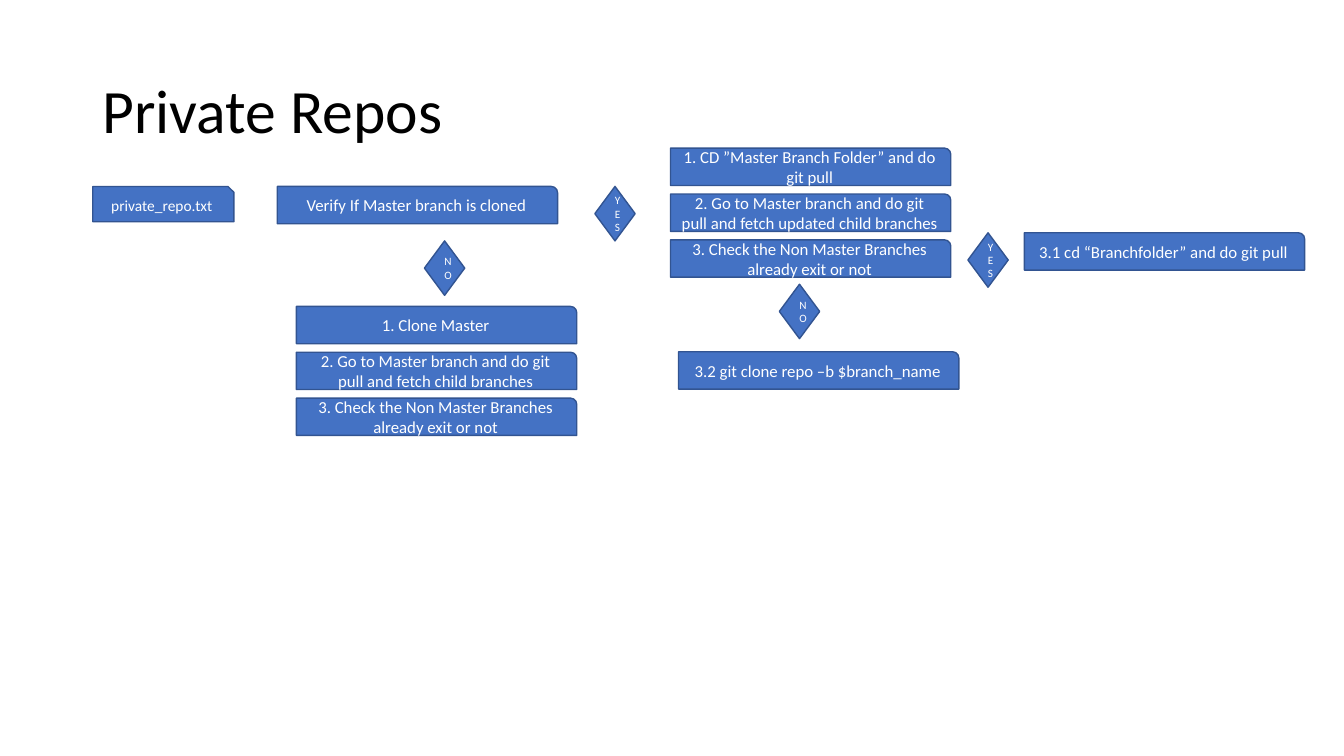
"""Build the Private Repos branch-update flow slide."""
from dataclasses import dataclass

import pptx
import pptx.dml.color
import pptx.enum.shapes
import pptx.enum.text
import pptx.slide
import pptx.text.text
import pptx.util

Inches = pptx.util.Inches
Pt = pptx.util.Pt
RGB = pptx.dml.color.RGBColor
SHAPE = pptx.enum.shapes.MSO_SHAPE
ALIGN = pptx.enum.text.PP_ALIGN
ANCHOR = pptx.enum.text.MSO_ANCHOR


@dataclass(frozen=True)
class Theme:
    font: str = "Calibri"
    title: RGB = RGB(0x00, 0x00, 0x00)
    text: RGB = RGB(0xFF, 0xFF, 0xFF)
    fill: RGB = RGB(0x44, 0x72, 0xC4)
    line: RGB = RGB(0x32, 0x54, 0x91)
    title_size: int = 44
    step_size: int = 12
    file_size: int = 11
    answer_size: int = 8


@dataclass(frozen=True)
class Kind:
    shape: SHAPE
    width: float
    height: float
    size: int


@dataclass(frozen=True)
class Node:
    kind: Kind
    left: float
    top: float
    text: str


THEME = Theme()
FILE = Kind(SHAPE.SNIP_1_RECTANGLE, 1.4, 0.35, THEME.file_size)
STEP = Kind(SHAPE.ROUND_1_RECTANGLE, 2.78, 0.37, THEME.step_size)
ANSWER = Kind(SHAPE.DIAMOND, 0.4, 0.54, THEME.answer_size)
STEP_PITCH = 0.455


def stack(left: float, top: float, texts: list[str]) -> list[Node]:
    """Return numbered steps placed below one another at an equal pitch."""
    return [
        Node(STEP, left, top + i * STEP_PITCH, f"{i + 1}. {text}")
        for i, text in enumerate(texts)
    ]


def style_text(tf: pptx.text.text.TextFrame, size: int, color: RGB, align: ALIGN) -> None:
    """Wrap and anchor the text and set the font of every paragraph."""
    tf.word_wrap = True
    tf.vertical_anchor = ANCHOR.MIDDLE
    for p in tf.paragraphs:
        p.alignment = align
        p.font.name = THEME.font
        p.font.size = Pt(size)
        p.font.color.rgb = color


def add_title(s: pptx.slide.Slide, text: str) -> None:
    """Add the slide title."""
    tf = s.shapes.add_textbox(Inches(0.92), Inches(0.4), Inches(11.5), Inches(1.45)).text_frame
    tf.text = text
    style_text(tf, THEME.title_size, THEME.title, ALIGN.LEFT)
    tf.paragraphs[0].line_spacing = 0.9


def add_node(s: pptx.slide.Slide, node: Node) -> None:
    """Add one flow node."""
    kind = node.kind
    sp = s.shapes.add_shape(
        kind.shape, Inches(node.left), Inches(node.top), Inches(kind.width), Inches(kind.height)
    )
    sp.shadow.inherit = False
    sp.fill.solid()
    sp.fill.fore_color.rgb = THEME.fill
    sp.line.color.rgb = THEME.line
    sp.line.width = Pt(1)
    sp.text_frame.text = node.text
    style_text(sp.text_frame, kind.size, THEME.text, ALIGN.CENTER)


CHECK_BRANCHES = "Check the Non Master Branches already exit or not"
NODES = [
    Node(FILE, 0.92, 1.85, "private_repo.txt"),
    Node(STEP, 2.75, 1.85, "Verify If Master branch is cloned"),
    Node(ANSWER, 4.21, 2.39, "NO"),
    *stack(2.94, 3.04, [
        "Clone Master",
        "Go to Master branch and do git pull and fetch child branches",
        CHECK_BRANCHES,
    ]),
    Node(ANSWER, 5.9, 1.85, "YES"),
    *stack(6.65, 1.47, [
        "CD ”Master Branch Folder” and do git pull",
        "Go to Master branch and do git pull and fetch updated child branches",
        CHECK_BRANCHES,
    ]),
    Node(ANSWER, 9.6, 2.31, "YES"),
    Node(STEP, 10.16, 2.31, "3.1 cd “Branchfolder” and do git pull"),
    Node(ANSWER, 7.73, 2.82, "N\nO"),
    Node(STEP, 6.73, 3.49, "3.2 git clone repo –b $branch_name"),
]


def main() -> None:
    """Build and save the presentation."""
    prs = pptx.Presentation()
    prs.slide_width = Inches(13.33)
    prs.slide_height = Inches(7.5)
    s = prs.slides.add_slide(prs.slide_layouts[6])
    add_title(s, "Private Repos")
    for node in NODES:
        add_node(s, node)
    prs.save("out.pptx")


main()
